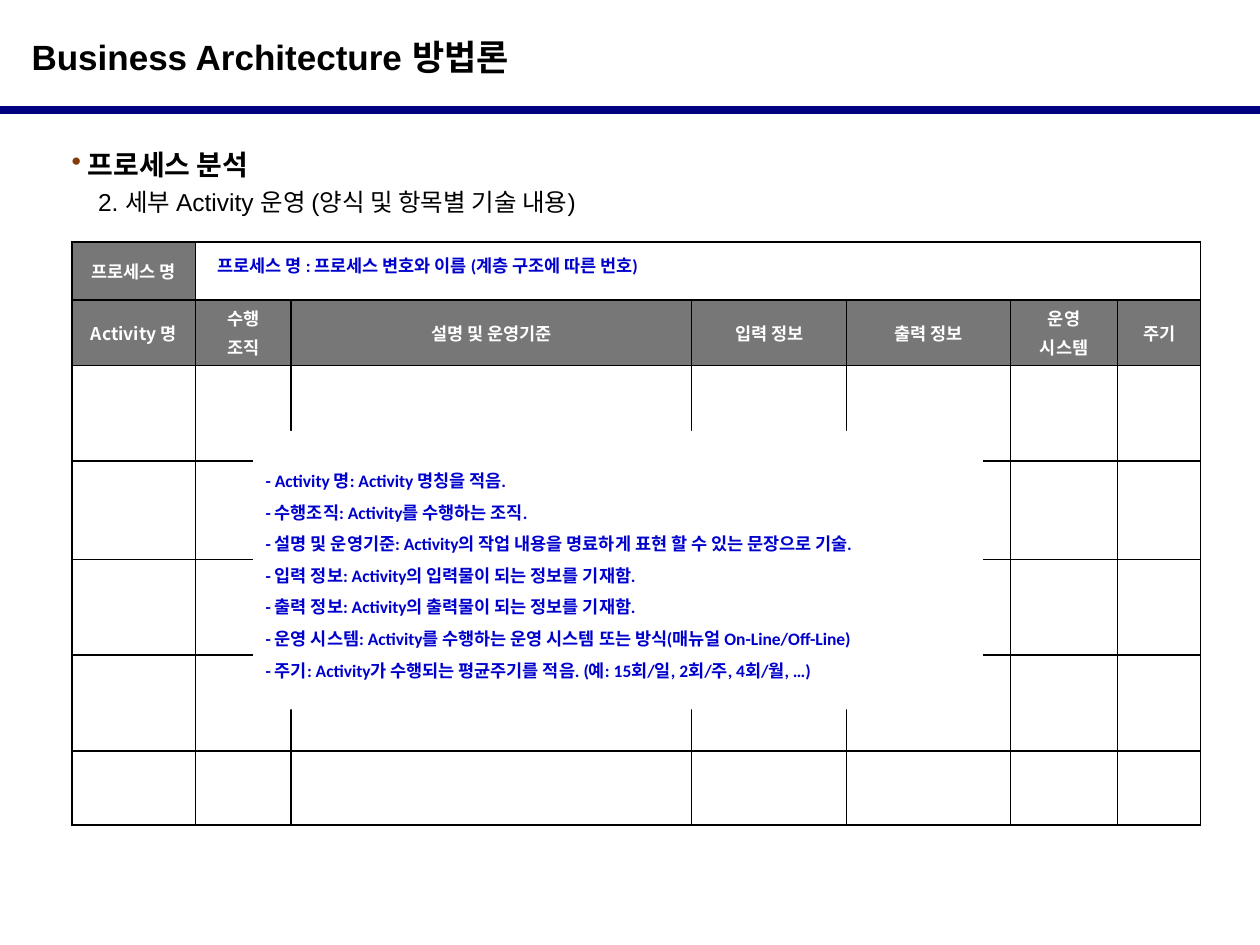
from lxml.etree import SubElement
from pptx import Presentation
from pptx.dml.color import RGBColor
from pptx.enum.shapes import MSO_CONNECTOR, MSO_SHAPE
from pptx.enum.text import MSO_ANCHOR, MSO_AUTO_SIZE, PP_ALIGN
from pptx.oxml.ns import qn
from pptx.util import Inches, Pt

KOREAN = "Noto Sans CJK KR"
BLACK, WHITE, NAVY, BLUE, GRAY = "000000", "FFFFFF", "000080", "0000CC", "777777"


def rgb(color):
    return RGBColor.from_string(color)


def write(frame, lines, size=10, font="Calibri", color=BLUE, bold=True,
          align=PP_ALIGN.LEFT, anchor=MSO_ANCHOR.TOP, spacing=1.0, before=0, wrap=True):
    frame.word_wrap = wrap
    frame.vertical_anchor = anchor
    for index, line in enumerate(lines):
        paragraph = frame.paragraphs[0] if index == 0 else frame.add_paragraph()
        paragraph.alignment = align
        paragraph.line_spacing = spacing
        paragraph.space_before = Pt(before if index else 0)
        run = paragraph.add_run()
        run.text = line
        run.font.size = Pt(size)
        run.font.bold = bold
        run.font.color.rgb = rgb(color)
        run.font.name = font
        SubElement(run.font._element, qn("a:ea"), typeface=KOREAN)


prs = Presentation()
prs.slide_width, prs.slide_height = Inches(10), Inches(7.5)
slide = prs.slides.add_slide(prs.slide_layouts[5])

# Title and the rule under it
title = slide.shapes.title
title.left, title.top, title.width, title.height = Inches(0), Inches(0.23), Inches(10), Inches(0.44)
title.text_frame.auto_size = MSO_AUTO_SIZE.NONE
title.text_frame.margin_left = Inches(0.25)
write(title.text_frame, ["Business Architecture 방법론"], size=20, font="Arial", color=BLACK,
      anchor=MSO_ANCHOR.MIDDLE)

rule = slide.shapes.add_connector(MSO_CONNECTOR.STRAIGHT, Inches(0), Inches(0.87), Inches(10), Inches(0.87))
rule.line.color.rgb = rgb(NAVY)
rule.line.width = Pt(4.5)
SubElement(rule._element.spPr, qn("a:effectLst"))

# Section heading with its numbered line
heading = slide.shapes.add_textbox(Inches(0.47), Inches(1.07), Inches(9.06), Inches(0.71)).text_frame
write(heading, ["프로세스 분석", "2. 세부 Activity 운영 (양식 및 항목별 기술 내용)"],
      size=16, font="Arial", color=BLACK, align=PP_ALIGN.JUSTIFY, spacing=1.2)
section, step = heading.paragraphs
section_format = section._p.get_or_add_pPr()
section_format.set("marL", str(Inches(0.13)))
section_format.set("indent", str(-Inches(0.13)))
bullet_color = SubElement(section_format, qn("a:buClr"))
SubElement(bullet_color, qn("a:srgbClr"), val="843C0B")
SubElement(section_format, qn("a:buChar"), char="•")
step._p.get_or_add_pPr().set("marL", str(Inches(0.21)))
step.runs[0].font.size = Pt(14)
step.runs[0].font.bold = False

# Activity form
column_widths = [0.98, 0.76, 3.18, 1.23, 1.3, 0.85, 0.66]
row_heights = [0.46, 0.52, 0.76, 0.78, 0.76, 0.76, 0.59]
form = slide.shapes.add_table(len(row_heights), len(column_widths), Inches(0.57), Inches(1.92),
                              Inches(sum(column_widths)), Inches(sum(row_heights))).table
for column, width in zip(form.columns, column_widths):
    column.width = Inches(width)
for row, height in zip(form.rows, row_heights):
    row.height = Inches(height)

column_heads = [["Activity 명"], ["수행", "조직"], ["설명 및 운영기준"], ["입력 정보"],
                ["출력 정보"], ["운영", "시스템"], ["주기"]]
labels = {(1, column): lines for column, lines in enumerate(column_heads)}
labels[0, 0] = ["프로세스 명"]

for r in range(len(row_heights)):
    for c in range(len(column_widths)):
        cell = form.cell(r, c)
        cell.margin_top = cell.margin_bottom = Inches(0.02)
        for side in ("a:lnL", "a:lnR", "a:lnT", "a:lnB"):
            border = SubElement(cell._tc.get_or_add_tcPr(), qn(side), w=str(Pt(1)))
            SubElement(SubElement(border, qn("a:solidFill")), qn("a:srgbClr"), val=BLACK)
        cell.fill.solid()
        cell.fill.fore_color.rgb = rgb(GRAY if (r, c) in labels else WHITE)
        if (r, c) in labels:
            write(cell.text_frame, labels[r, c], font=KOREAN, color=WHITE,
                  align=PP_ALIGN.CENTER, before=2)
            cell.vertical_anchor = MSO_ANCHOR.MIDDLE
form.cell(0, 1).merge(form.cell(0, 6))

# Explanation of the process name
process_note = slide.shapes.add_textbox(Inches(1.63), Inches(1.99), Inches(3.79), Inches(0.33))
write(process_note.text_frame, ["프로세스 명 : 프로세스 변호와 이름 (계층 구조에 따른 번호)"],
      spacing=0.9, wrap=False)

# Explanation of the columns, laid over the form
column_notes = slide.shapes.add_shape(MSO_SHAPE.RECTANGLE, Inches(2.01), Inches(3.42),
                                      Inches(5.79), Inches(2.21))
column_notes.shadow.inherit = False
column_notes.fill.solid()
column_notes.fill.fore_color.rgb = rgb(WHITE)
column_notes.line.fill.background()
write(column_notes.text_frame, [
    "- Activity 명: Activity 명칭을 적음.",
    "- 수행조직: Activity를 수행하는 조직.",
    "- 설명 및 운영기준: Activity의 작업 내용을 명료하게 표현 할 수 있는 문장으로 기술.",
    "- 입력 정보: Activity의 입력물이 되는 정보를 기재함.",
    "- 출력 정보: Activity의 출력물이 되는 정보를 기재함.",
    "- 운영 시스템: Activity를 수행하는 운영 시스템 또는 방식(매뉴얼 On-Line/Off-Line)",
    "- 주기: Activity가 수행되는 평균주기를 적음. (예: 15회/일, 2회/주, 4회/월, …)",
], anchor=MSO_ANCHOR.MIDDLE, spacing=1.5)

prs.save("out.pptx")
